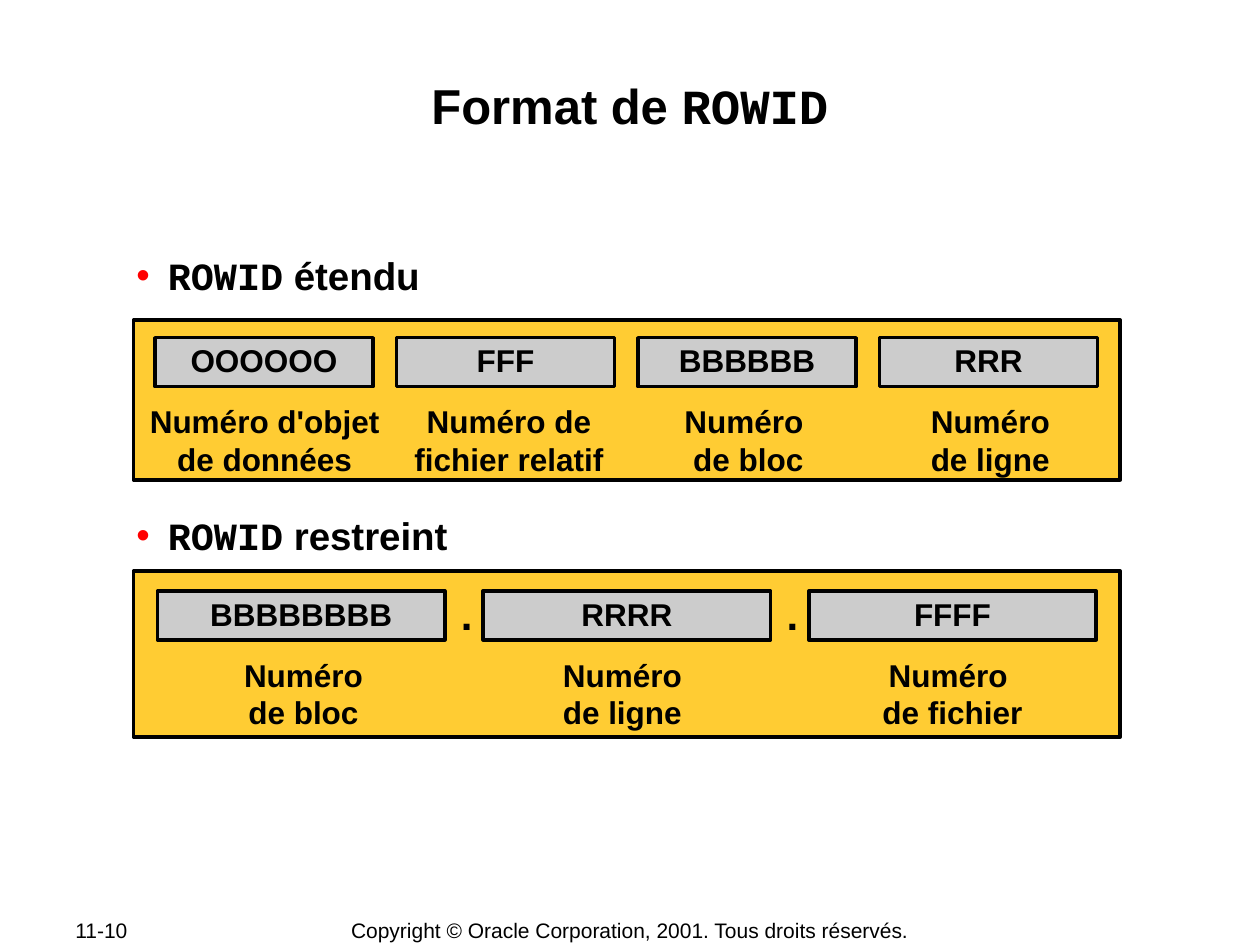
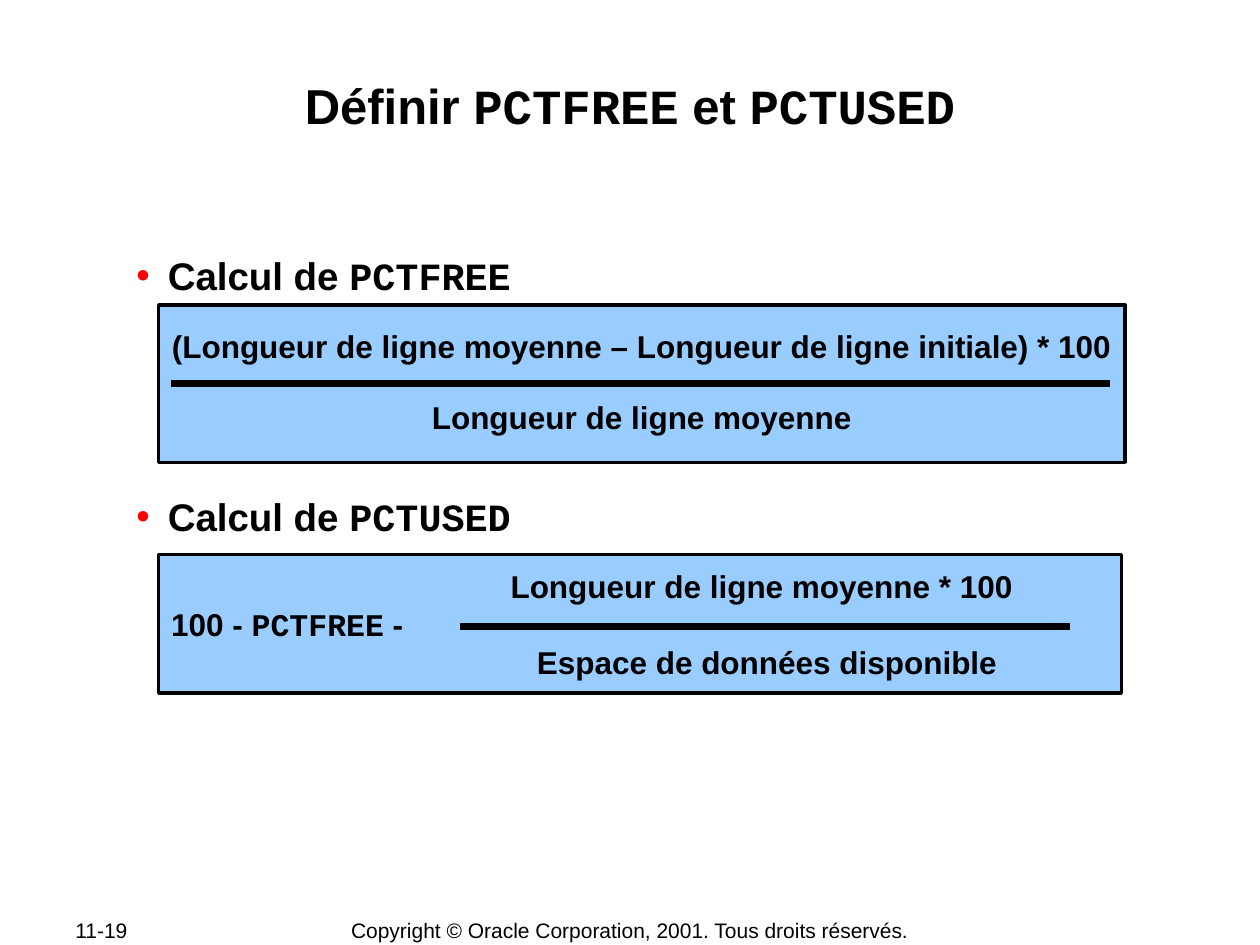
from dataclasses import dataclass

from lxml import etree
from pptx import Presentation
from pptx.dml.color import RGBColor
from pptx.enum import shapes, text
from pptx.oxml import ns
from pptx.util import Pt

BLACK = RGBColor(0x00, 0x00, 0x00)
GOLD = RGBColor(0xFF, 0xCC, 0x33)
GREY = RGBColor(0xCC, 0xCC, 0xCC)
SKY = RGBColor(0x99, 0xCC, 0xFF)
BULLET_RED = RGBColor(0xFF, 0x00, 0x00)
SANS = "Arial"
MONO = "Courier New"
COPYRIGHT = "Copyright © Oracle Corporation, 2001. Tous droits réservés."

CENTER = text.PP_ALIGN.CENTER
LEFT = text.PP_ALIGN.LEFT
MIDDLE = text.MSO_ANCHOR.MIDDLE
TOP = text.MSO_ANCHOR.TOP


@dataclass(frozen=True)
class Box:
    left: float
    top: float
    width: float
    height: float

    def lengths(self) -> tuple:
        return Pt(self.left), Pt(self.top), Pt(self.width), Pt(self.height)


@dataclass(frozen=True)
class Span:
    words: str
    font: str = SANS


@dataclass(frozen=True)
class Line:
    spans: tuple[Span, ...]
    align: text.PP_ALIGN = CENTER
    before: float = 0
    spacing: float | None = None
    indent: float = 0
    bullet: bool = False


@dataclass(frozen=True)
class Field:
    code: str
    caption: str
    caption_left: float
    caption_width: float


@dataclass(frozen=True)
class RowidFormat:
    panel: Box
    first_cell: Box
    pitch: float
    fields: tuple[Field, ...]
    separator: str = ""


def write(shape, lines: list[Line], size: float, bold: bool = True,
          inset: tuple[float, float] = (0.72, 0.72),
          anchor: text.MSO_ANCHOR = TOP, wrap: bool = True) -> None:
    frame = shape.text_frame
    frame.word_wrap = wrap
    frame.vertical_anchor = anchor
    frame.margin_left = frame.margin_right = Pt(inset[0])
    frame.margin_top = frame.margin_bottom = Pt(inset[1])
    for index, line in enumerate(lines):
        paragraph = frame.add_paragraph() if index else frame.paragraphs[0]
        paragraph.alignment = line.align
        properties = paragraph._p.get_or_add_pPr()
        properties.set("marL", str(Pt(line.indent)))
        if line.bullet:
            properties.set("indent", str(Pt(-18)))
            color = etree.SubElement(properties, ns.qn("a:buClr"))
            etree.SubElement(color, ns.qn("a:srgbClr"), val=str(BULLET_RED))
            etree.SubElement(properties, ns.qn("a:buFont"), typeface=SANS)
            etree.SubElement(properties, ns.qn("a:buChar"), char="•")
        if line.before:
            paragraph.space_before = Pt(line.before)
        if line.spacing:
            paragraph.line_spacing = line.spacing
        for span in line.spans:
            for part_index, part in enumerate(span.words.split("\n")):
                if part_index:
                    paragraph.add_line_break()
                run = paragraph.add_run()
                run.text = part
                run.font.name = span.font
                run.font.size = Pt(size)
                run.font.bold = bold
                run.font.color.rgb = BLACK


def add_text(slide, box: Box, lines: list[Line], size: float, **options) -> None:
    write(slide.shapes.add_textbox(*box.lengths()), lines, size, **options)


def add_panel(slide, box: Box, fill: RGBColor):
    panel = slide.shapes.add_shape(shapes.MSO_SHAPE.RECTANGLE, *box.lengths())
    panel.shadow.inherit = False
    panel.fill.solid()
    panel.fill.fore_color.rgb = fill
    panel.line.color.rgb = BLACK
    panel.line.width = Pt(2)
    return panel


def add_fraction_bar(slide, start: float, end: float, height: float) -> None:
    bar = slide.shapes.add_connector(
        shapes.MSO_CONNECTOR.STRAIGHT, Pt(start), Pt(height), Pt(end), Pt(height))
    bar.line.color.rgb = BLACK
    bar.line.width = Pt(4)
    etree.SubElement(bar._element.spPr, ns.qn("a:effectLst"))


def add_page(deck, number: str, title: tuple[Span, ...]):
    slide = deck.slides.add_slide(deck.slide_layouts[6])
    add_text(slide, Box(36, 524.2, 76.3, 14.4), [Line((Span(number),), LEFT)], 12,
             bold=False, inset=(7.2, 0), anchor=MIDDLE)
    add_text(slide, Box(190, 524.2, 340, 15), [Line((Span(COPYRIGHT),))], 12,
             bold=False, inset=(0, 0), anchor=MIDDLE)
    add_text(slide, Box(72, 42.5, 576, 69), [Line(title)], 28)
    return slide


def add_topics(slide, height: float, gap: float, first: tuple[Span, ...],
               second: tuple[Span, ...]) -> None:
    topics = [Line(first, LEFT, indent=27, bullet=True),
              Line(second, LEFT, before=gap, indent=27, bullet=True)]
    add_text(slide, Box(68.2, 143.4, 580, height), topics, 22)


def add_rowid_format(slide, rowid: RowidFormat) -> None:
    add_panel(slide, rowid.panel, GOLD)
    cell = rowid.first_cell
    for index, field in enumerate(rowid.fields):
        left = cell.left + index * rowid.pitch
        code = add_panel(slide, Box(left, cell.top, cell.width, cell.height), GREY)
        write(code, [Line((Span(field.code),), spacing=0.95)], 18,
              inset=(3.6, 3.6), anchor=MIDDLE, wrap=False)
        add_text(slide, Box(field.caption_left, cell.top + 33.4, field.caption_width, 49.7),
                 [Line((Span(field.caption),))], 18, inset=(6.5, 3.6))
        if rowid.separator and index:
            add_text(slide, Box(left - 18.4, cell.top - 5, 18, 35.3),
                     [Line((Span(rowid.separator),))], 24, inset=(5.5, 3.6))


EXTENDED = RowidFormat(
    Box(76.3, 182.9, 563.8, 91.4), Box(88.6, 193, 124.6, 28), 138,
    (Field("OOOOOO", "Numéro d'objet de données", 77.8, 146.9),
     Field("FFF", "Numéro de fichier relatif", 221, 139.7),
     Field("BBBBBB", "Numéro \nde bloc", 354.2, 146.9),
     Field("RRR", "Numéro\nde ligne", 504, 123.8)))

RESTRICTED = RowidFormat(
    Box(76.3, 326.2, 563.8, 95), Box(90, 337.7, 164.2, 28), 186.1,
    (Field("BBBBBBBB", "Numéro\nde bloc", 100, 146.9),
     Field("RRRR", "Numéro\nde ligne", 285.8, 139.7),
     Field("FFFF", "Numéro \nde fichier", 482.4, 123.8)),
    separator=".")


def build_rowid_page(deck) -> None:
    slide = add_page(deck, "11-10", (Span("Format de "), Span("ROWID", MONO)))
    add_topics(slide, 240.5, 122, (Span("ROWID", MONO), Span(" étendu")),
               (Span("ROWID", MONO), Span(" restreint")))
    for rowid in (EXTENDED, RESTRICTED):
        add_rowid_format(slide, rowid)


def build_space_page(deck) -> None:
    slide = add_page(deck, "11-19", (Span("Définir "), Span("PCTFREE", MONO),
                                     Span(" et "), Span("PCTUSED", MONO)))
    pctfree = add_panel(slide, Box(90.7, 174.2, 552.2, 90), SKY)
    write(pctfree, [
        Line((Span("(Longueur de ligne moyenne – Longueur de ligne initiale) * 100"),),
             spacing=0.95),
        Line((Span("Longueur de ligne moyenne"),), before=20, spacing=0.95),
    ], 18, inset=(3.6, 3.6), anchor=MIDDLE, wrap=False)
    add_fraction_bar(slide, 97.9, 634.3, 218.9)

    pctused = add_panel(slide, Box(90.7, 316.8, 550.1, 79.2), SKY)
    write(pctused, [
        Line((Span("Longueur de ligne moyenne * 100"),), LEFT, indent=194),
        Line((Span("100 - "), Span("PCTFREE", MONO), Span(" -")), LEFT),
        Line((Span("Espace de données disponible"),), LEFT, indent=209),
    ], 18, inset=(7.2, 3.6), anchor=MIDDLE)
    add_fraction_bar(slide, 262.8, 611.3, 357.8)
    add_topics(slide, 165.6, 111, (Span("Calcul de "), Span("PCTFREE", MONO)),
               (Span("Calcul de "), Span("PCTUSED", MONO)))


def main() -> None:
    deck = Presentation()
    deck.slide_width = Pt(720)
    deck.slide_height = Pt(540)
    build_rowid_page(deck)
    build_space_page(deck)
    deck.save("out.pptx")


if __name__ == "__main__":
    main()
